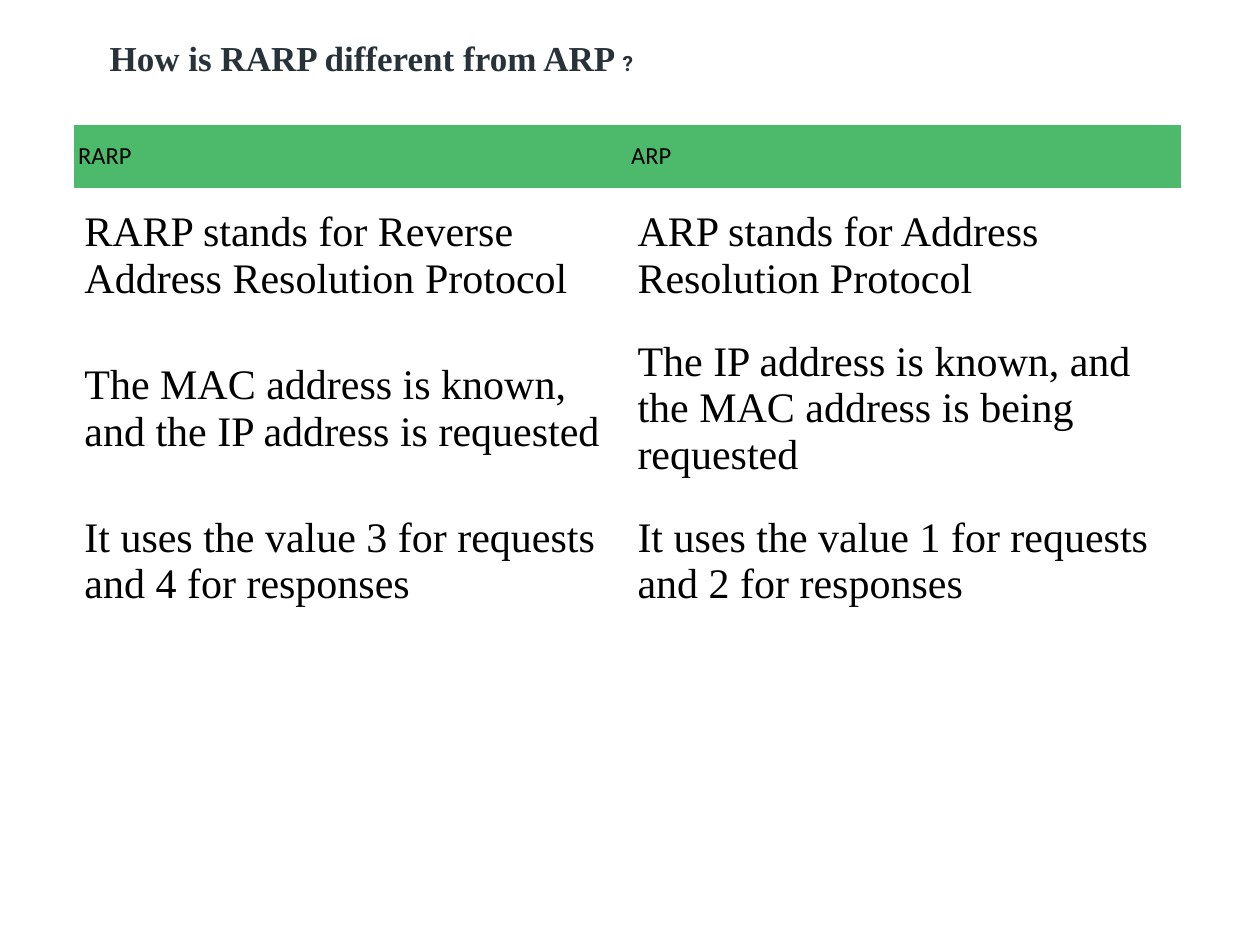
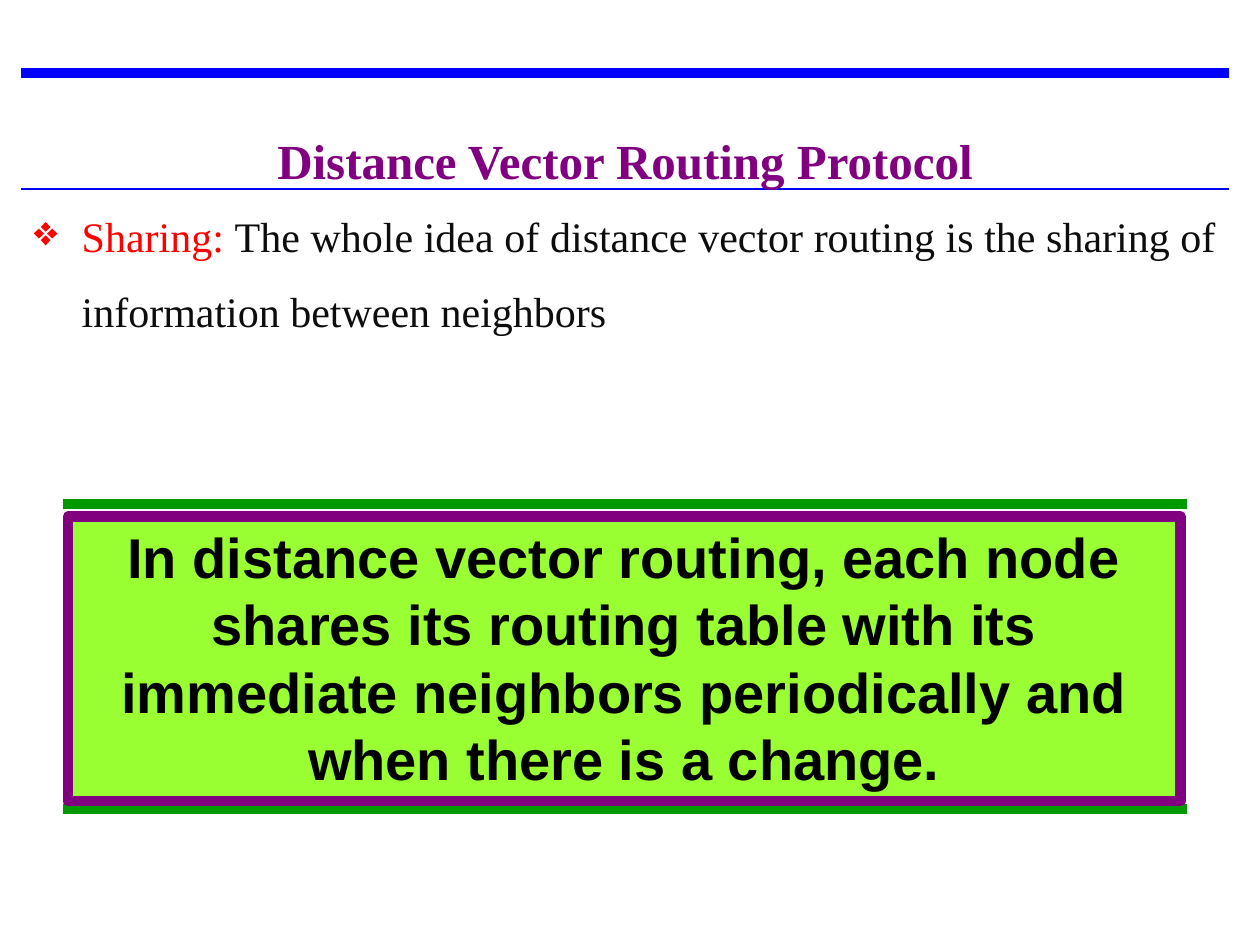
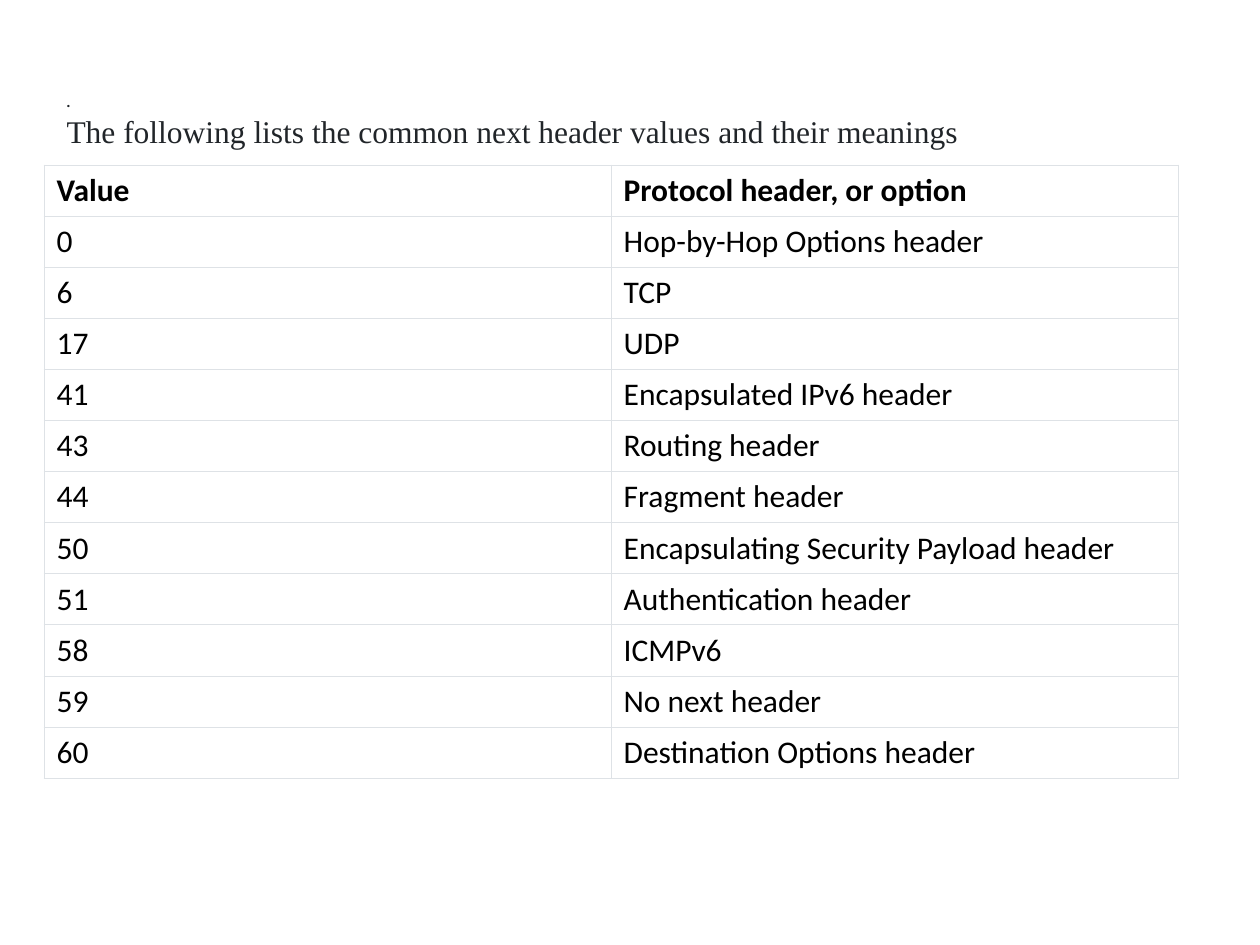
from dataclasses import dataclass

from lxml import etree
from pptx import Presentation
from pptx import util as u
from pptx.dml.color import RGBColor
from pptx.enum import shapes, text
from pptx.oxml.ns import qn

COLUMNS, ROWS = 100, 75
CELL = u.Inches(0.1)
NO_STYLE = "{2D5ABB26-0587-4C30-8999-92F81FD0307C}"


@dataclass(frozen=True)
class Theme:
    serif: str = "Times New Roman"
    sans: str = "Calibri"
    poster: str = "Arial"
    tiny: int = 12
    label: int = 14
    normal: int = 18
    heading: int = 20
    body: int = 24
    title: int = 28
    callout: int = 32
    black: str = "000000"
    white: str = "FFFFFF"
    ink: str = "0D0D0D"
    slate: str = "273239"
    charcoal: str = "212529"
    red: str = "FF0000"
    purple: str = "800080"
    blue: str = "0000FF"
    green: str = "009900"
    lime: str = "99FF33"
    header: str = "4CB96B"
    border: str = "DEE2E6"


THEME = Theme()


def grid(*cells):
    """Turn grid cells into slide lengths."""
    return [round(cell * CELL) for cell in cells]


def rgb(value):
    return RGBColor.from_string(value)


def add_span(para, words, size, face, color, bold=False):
    span = para.add_run()
    span.text = words
    span.font.size = u.Pt(size)
    span.font.name = face
    span.font.bold = bold
    span.font.color.rgb = rgb(color)


def fill_text(frame, paras, align=None, spacing=None):
    """Write paragraphs, each a list of span tuples, and return the first."""
    for index, spans in enumerate(paras):
        para = frame.add_paragraph() if index else frame.paragraphs[0]
        para.alignment = align
        para.line_spacing = spacing
        for span in spans:
            add_span(para, *span)
    return frame.paragraphs[0]


def add_text(page, area, paras, align=None, spacing=None,
             anchor=text.MSO_ANCHOR.TOP):
    box = page.shapes.add_textbox(*grid(*area))
    box.text_frame.word_wrap = True
    box.text_frame.vertical_anchor = anchor
    return fill_text(box.text_frame, paras, align, spacing)


def add_panel(page, area, fill, paras, line=None, margin=None,
              align=text.PP_ALIGN.LEFT):
    panel = page.shapes.add_shape(shapes.MSO_SHAPE.RECTANGLE, *grid(*area))
    panel.shadow.inherit = False
    panel.fill.solid()
    panel.fill.fore_color.rgb = rgb(fill)
    if line:
        panel.line.color.rgb = rgb(line)
        panel.line.width = u.Pt(6)
    else:
        panel.line.fill.background()
    frame = panel.text_frame
    frame.word_wrap = True
    frame.vertical_anchor = text.MSO_ANCHOR.TOP
    if margin is not None:
        set_margins(frame, margin, margin)
    fill_text(frame, paras, align)


def add_rule(page, left, right, row, color, width):
    rule = page.shapes.add_connector(
        shapes.MSO_CONNECTOR.STRAIGHT, *grid(left, row, right, row))
    rule.line.color.rgb = rgb(color)
    rule.line.width = u.Pt(width)
    etree.SubElement(rule.element.spPr, qn("a:effectLst"))


def add_bullet(para, mark, indent):
    props = para._p.get_or_add_pPr()
    props.set("marL", str(u.Inches(indent)))
    props.set("indent", str(-u.Inches(indent)))
    etree.SubElement(props, qn("a:buChar"), char=mark)


def set_margins(holder, side, end):
    holder.margin_left = holder.margin_right = u.Inches(side)
    holder.margin_top = holder.margin_bottom = u.Inches(end)


def set_borders(cell, color, width):
    props = cell._tc.get_or_add_tcPr()
    for side in ("lnL", "lnR", "lnT", "lnB"):
        line = etree.SubElement(props, qn(f"a:{side}"), w=str(u.Pt(width)))
        solid = etree.SubElement(line, qn("a:solidFill"))
        etree.SubElement(solid, qn("a:srgbClr"), val=color)


def style_cell(cell, span, margins, fill=None, border=None,
               anchor=text.MSO_ANCHOR.TOP):
    set_margins(cell, *margins)
    cell.vertical_anchor = anchor
    if border:
        set_borders(cell, border, 0.6)
    if fill:
        cell.fill.solid()
        cell.fill.fore_color.rgb = rgb(fill)
    else:
        cell.fill.background()
    fill_text(cell.text_frame, [[span]])


def add_table(page, left, top, width, heights, rows, head, body):
    """Draw rows of words; head and body map words to style_cell options."""
    frame = page.shapes.add_table(
        len(rows), len(rows[0]), *grid(left, top, width, sum(heights)))
    table = frame.table
    table.first_row = table.horz_banding = False
    for style in frame.element.iter(qn("a:tableStyleId")):
        style.text = NO_STYLE
    for number, (height, words) in enumerate(zip(heights, rows)):
        table.rows[number].height = grid(height)[0]
        options = body if number else head
        for column, word in enumerate(words):
            style_cell(table.cell(number, column), **options(word))


def build_comparison(page):
    middle = text.MSO_ANCHOR.MIDDLE
    rows = [
        ("RARP", "ARP"),
        ("RARP stands for Reverse Address Resolution Protocol",
         "ARP stands for Address Resolution Protocol"),
        ("The MAC address is known, and the IP address is requested",
         "The IP address is known, and the MAC address is being requested"),
        ("It uses the value 3 for requests and 4 for responses",
         "It uses the value 1 for requests and 2 for responses"),
    ]
    add_table(
        page, 5.9, 9.9, 87.8, [5] + [10.8] * 3, rows,
        lambda word: dict(
            span=(word, THEME.label, THEME.sans, THEME.black),
            margins=(0.03, 0.03), fill=THEME.header, anchor=middle),
        lambda word: dict(
            span=(word, THEME.body, THEME.serif, THEME.black),
            margins=(0.08, 0.12), anchor=middle))
    add_panel(page, (8.7, 2.9, 85, 6.4), THEME.white, [[
        ("How is RARP different from ARP ", THEME.heading, THEME.serif,
         THEME.slate, True),
        ("?", THEME.tiny, "Roboto", THEME.slate, True),
    ]], margin=0)


def build_distance_vector(page):
    left, right = 1.7, 97.5
    width = right - left
    add_rule(page, left, right, 5.8, THEME.blue, 6)
    add_rule(page, left, right, 15, THEME.blue, 1.5)
    add_text(page, (left, 7.5, width, 5.8), [[
        ("Distance Vector Routing Protocol", THEME.title, THEME.serif,
         THEME.purple, True),
    ]], text.PP_ALIGN.CENTER, 1.5)
    sharing = add_text(page, (left, 14.2, width, 12.4), [[
        ("Sharing: ", THEME.body, THEME.serif, THEME.red),
        ("The whole idea of distance vector routing is the sharing of "
         "information between neighbors", THEME.body, THEME.serif, THEME.ink),
    ]], text.PP_ALIGN.JUSTIFY, 1.5)
    add_bullet(sharing, "❖", 0.38)
    for row in (40, 64.2):
        add_rule(page, 5, 94.2, row, THEME.green, 6)
    sentences = (
        "In distance vector routing, each node shares its routing table "
        "with its",
        "immediate neighbors periodically and when there is a change.",
    )
    add_panel(
        page, (5.4, 41, 88.3, 22.6), THEME.lime,
        [[(words, THEME.callout, THEME.poster, THEME.black, True)]
         for words in sentences],
        line=THEME.purple, align=text.PP_ALIGN.CENTER)


def build_next_headers(page):
    rows = [
        ("Value", "Protocol header, or option"),
        ("0", "Hop-by-Hop Options header"),
        ("6", "TCP"),
        ("17", "UDP"),
        ("41", "Encapsulated IPv6 header"),
        ("43", "Routing header"),
        ("44", "Fragment header"),
        ("50", "Encapsulating Security Payload header"),
        ("51", "Authentication header"),
        ("58", "ICMPv6"),
        ("59", "No next header"),
        ("60", "Destination Options header"),
    ]

    def entry(word, bold=False):
        return dict(
            span=(word, THEME.normal, THEME.sans, THEME.black, bold),
            margins=(0.1, 0.05), border=THEME.border)

    add_table(page, 3.5, 13.1, 90, [47.8 / len(rows)] * len(rows), rows,
              lambda word: entry(word, True), entry)
    add_text(page, (4.3, 6.3, 86.6, 6.1), [
        [(".", THEME.tiny, "Karla", THEME.charcoal)],
        [("The following lists the common next header values and their "
          "meanings", THEME.normal, THEME.serif, THEME.charcoal)],
    ], anchor=text.MSO_ANCHOR.MIDDLE)


def main():
    deck = Presentation()
    deck.slide_width, deck.slide_height = grid(COLUMNS, ROWS)
    blank = deck.slide_layouts[6]
    for build in (build_comparison, build_distance_vector, build_next_headers):
        build(deck.slides.add_slide(blank))
    deck.save("out.pptx")


if __name__ == "__main__":
    main()
